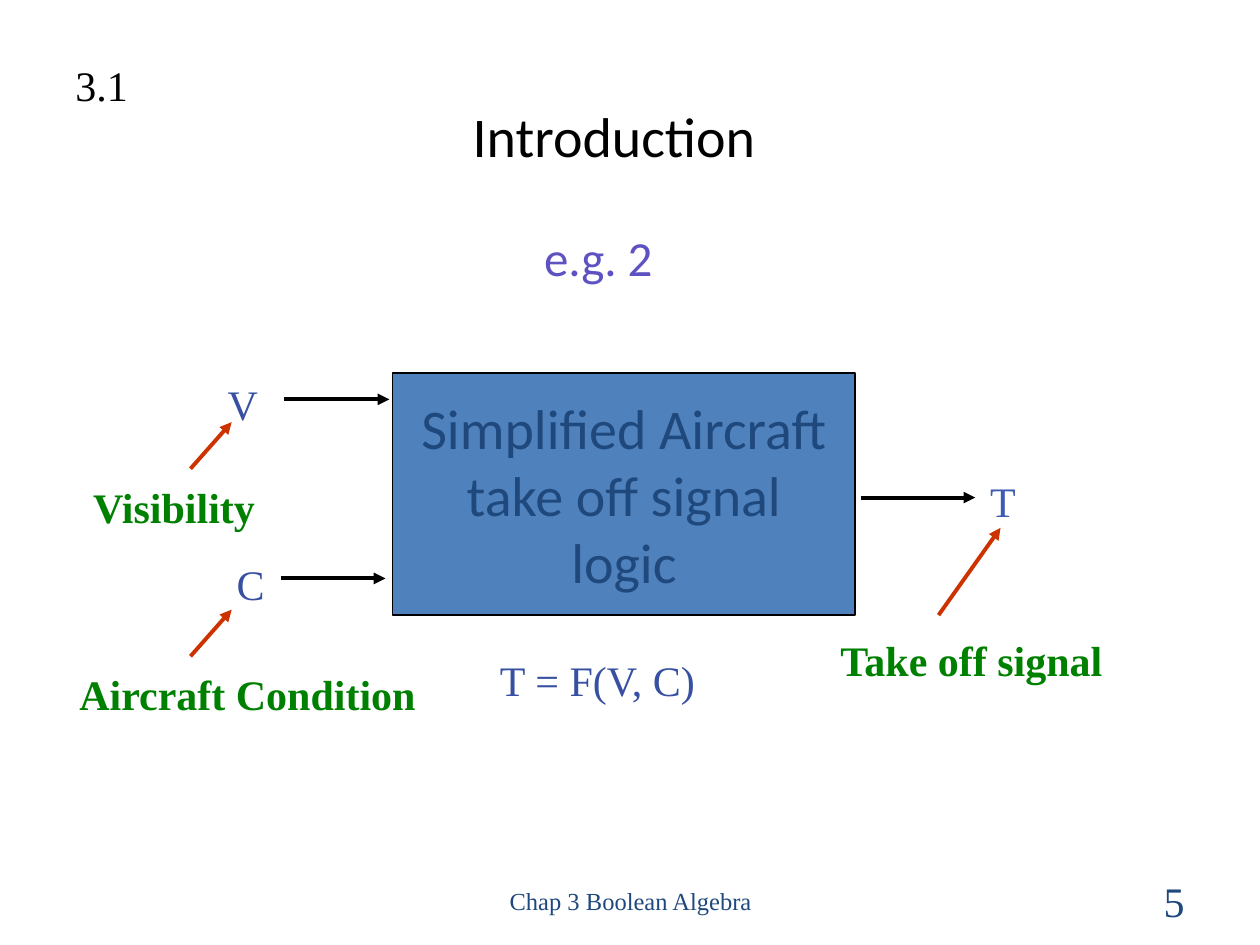
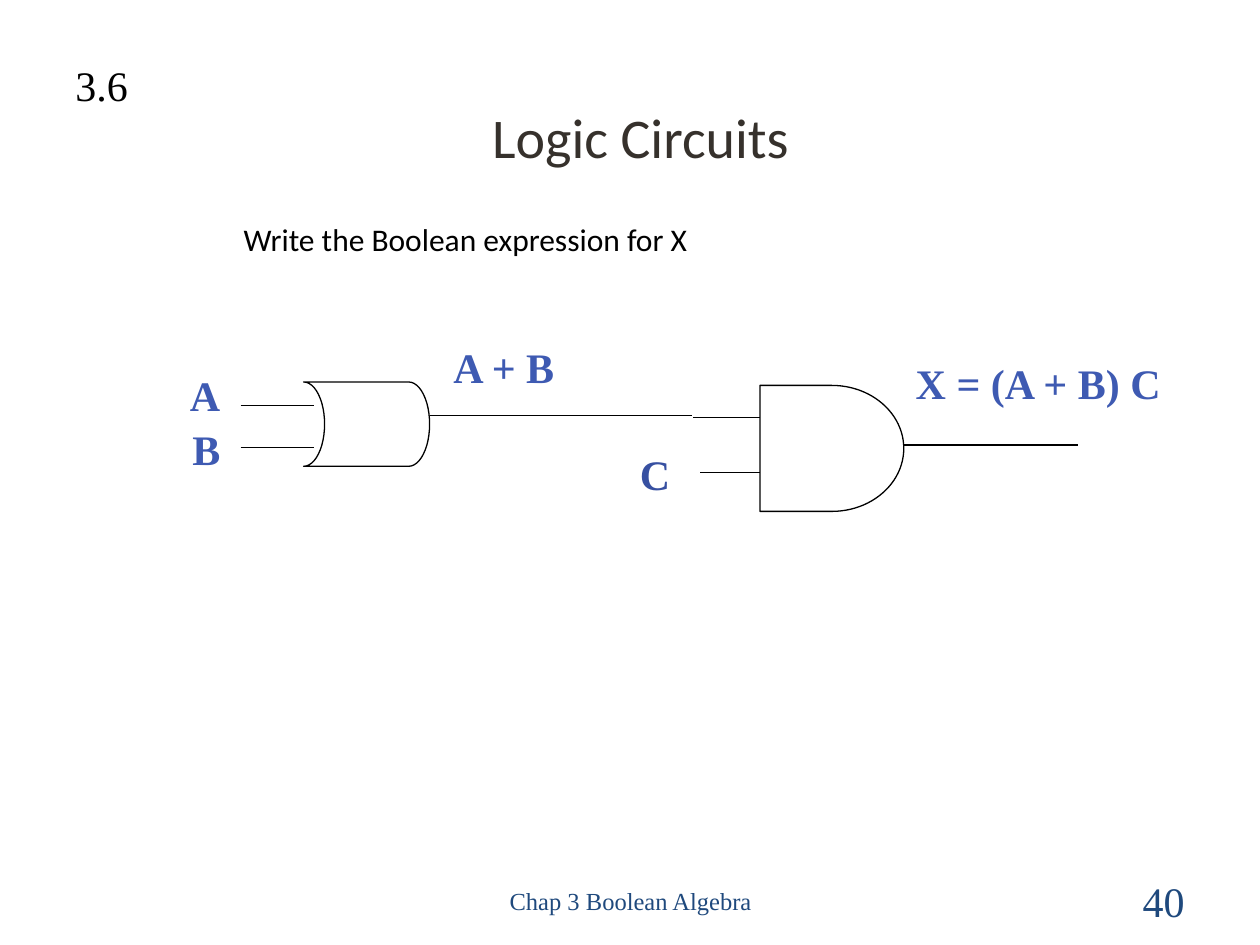
from lxml import etree
from pptx import Presentation
from pptx.dml.color import RGBColor
from pptx.enum import shapes, text
from pptx.oxml.ns import qn
from pptx.util import Cm, Pt

SERIF, SANS = "Times New Roman", "Calibri"
BLACK, NAVY, GREEN, RED = "000000", "1F497D", "008000", "CC3300"
INDIGO, BLUE, PURPLE, BOX_BLUE = "3750A1", "3E5AB2", "5E51C1", "4F81BD"
LEFT, CENTER, RIGHT = text.PP_ALIGN.LEFT, text.PP_ALIGN.CENTER, text.PP_ALIGN.RIGHT
TITLE_HEIGHT, LABEL_HEIGHT = 1.7, 1.27

# All positions and lengths are in centimetres.
FOOTER = "Chap 3 Boolean Algebra"
INTRODUCTION = dict(section="3.1", title="Introduction", number="5",
                    title_at=(6.88, 1.88, 11), title_color=BLACK)
CIRCUITS = dict(section="3.6", title="Logic Circuits", number="40",
                title_at=(8.33, 1.9, 9.17), title_color="36312C")

LOGIC_BOX = ["Simplified Aircraft", "take off signal", "logic"]
LOGIC_BOX_AT = (7.92, 7.52, 9.32, 4.88)
# Signal, left, top, colour, line spacing
SIGNALS = [("V", 4.34, 7.67, INDIGO, 0.85),
           ("C", 4.52, 11.3, INDIGO, 0.85),
           ("T", 19.71, 9.47, BLUE, 1)]
# Meaning, left, top, width
MEANINGS = [("Visibility", 1.63, 9.58, 3.9),
            ("Aircraft Condition", 1.35, 13.36, 7.45),
            ("Take off signal", 16.69, 12.67, 6)]
# Start x, start y, end x, end y
SIGNAL_ARROWS = [(5.72, 8.05, 7.85, 8.05),
                 (5.66, 11.66, 7.77, 11.66),
                 (17.35, 10.03, 19.66, 10.03)]
MEANING_ARROWS = [(3.84, 9.45, 4.67, 8.51),
                  (3.84, 13.23, 4.67, 12.29),
                  (18.92, 12.4, 20.17, 10.64)]

GATES = [(shapes.MSO_SHAPE.FLOWCHART_STORED_DATA, (6.12, 7.7, 2.54, 1.7), 180),
         (shapes.MSO_SHAPE.FLOWCHART_DELAY, (15.32, 7.77, 2.9, 2.54), 0)]
# Start x, end x, y
WIRES = [(4.85, 6.32, 8.18), (4.85, 6.32, 9.02), (8.66, 13.94, 8.38),
         (13.97, 15.32, 8.41), (14.12, 15.32, 9.53), (18.21, 21.74, 8.97)]
# Wire label, left, top, width, colour
WIRE_LABELS = [("A", 3.58, 7.32, 1.2, BLUE),
               ("B", 3.63, 8.41, 1.2, BLUE),
               ("A + B", 8.89, 6.76, 2.8, BLUE),
               ("C", 12.65, 8.92, 1.2, INDIGO),
               ("X = (A + B) C", 18.21, 7.09, 5.7, BLUE)]


def rgb(color):
    return RGBColor.from_string(color)


def cm(values):
    return [Cm(value) for value in values]


def write(frame, lines, size, color, font=SERIF, bold=False, align=LEFT, spacing=1):
    for index, line in enumerate(lines):
        paragraph = frame.add_paragraph() if index else frame.paragraphs[0]
        paragraph.alignment = align
        paragraph.line_spacing = spacing
        run = paragraph.add_run()
        run.text = line
        run.font.name, run.font.size = font, Pt(size)
        run.font.bold = bold
        run.font.color.rgb = rgb(color)


def add_label(slide, words, left, top, width, color, height=LABEL_HEIGHT,
              size=24, middle=False, **style):
    frame = slide.shapes.add_textbox(*cm((left, top, width, height))).text_frame
    frame.word_wrap = True
    if middle:
        frame.vertical_anchor = text.MSO_ANCHOR.MIDDLE
    write(frame, [words], size, color, **style)


def add_line(slide, start_x, start_y, end_x, end_y, color=BLACK, width=0.75, arrow=False):
    line = slide.shapes.add_connector(shapes.MSO_CONNECTOR.STRAIGHT,
                                      *cm((start_x, start_y, end_x, end_y)))
    line.line.color.rgb = rgb(color)
    line.line.width = Pt(width)
    if arrow:
        etree.SubElement(line.line._get_or_add_ln(), qn("a:tailEnd"), type="triangle")
    etree.SubElement(line._element.spPr, qn("a:effectLst"))


def add_outlined(slide, preset, place, fill=None):
    shape = slide.shapes.add_shape(preset, *cm(place))
    shape.shadow.inherit = False
    if fill:
        shape.fill.solid()
        shape.fill.fore_color.rgb = rgb(fill)
    else:
        shape.fill.background()
    shape.line.color.rgb = rgb(BLACK)
    shape.line.width = Pt(0.75)
    return shape


def add_slide(deck, section, title, number, title_at, title_color):
    """Add a slide with its section, title, footer and page number."""
    slide = deck.slides.add_slide(deck.slide_layouts.get_by_name("Title Only"))
    heading = slide.shapes.title
    heading.left, heading.top, heading.width, heading.height = cm((*title_at, TITLE_HEIGHT))
    heading.text_frame.vertical_anchor = text.MSO_ANCHOR.MIDDLE
    write(heading.text_frame, [title], 32, title_color, SANS, align=CENTER)
    add_label(slide, section, 1.27, 1.07, 1.7, BLACK)
    add_label(slide, FOOTER, 8.69, 17.65, 8.05, NAVY, 1.02, 14, True, align=CENTER)
    add_label(slide, number, 18.21, 17.65, 5.92, NAVY, 1.02, 24, True, align=RIGHT)
    return slide


def build_introduction(deck):
    slide = add_slide(deck, **INTRODUCTION)
    add_label(slide, "e.g. 2", 10.72, 3.86, 3.43, PURPLE, 2.13, 28, font=SANS, spacing=1.5)
    logic = add_outlined(slide, shapes.MSO_SHAPE.RECTANGLE, LOGIC_BOX_AT, BOX_BLUE)
    logic.text_frame.vertical_anchor = text.MSO_ANCHOR.MIDDLE
    write(logic.text_frame, LOGIC_BOX, 32, NAVY, SANS, align=CENTER)
    for signal, left, top, color, spacing in SIGNALS:
        add_label(slide, signal, left, top, 1.2, color, spacing=spacing)
    for meaning, left, top, width in MEANINGS:
        add_label(slide, meaning, left, top, width, GREEN, bold=True)
    for arrows, color in ((SIGNAL_ARROWS, BLACK), (MEANING_ARROWS, RED)):
        for ends in arrows:
            add_line(slide, *ends, color, 2.25, arrow=True)
    add_label(slide, "T = F(V, C)", 9.83, 13.06, 5, INDIGO)


def build_circuits(deck):
    slide = add_slide(deck, **CIRCUITS)
    add_label(slide, "Write the Boolean expression for X", 2.77, 4.32, 13.23, BLACK,
              size=18, font=SANS, align=CENTER)
    for preset, place, rotation in GATES:
        add_outlined(slide, preset, place).rotation = rotation
    for start_x, end_x, y in WIRES:
        add_line(slide, start_x, y, end_x, y)
    for label in WIRE_LABELS:
        add_label(slide, *label, bold=True)


def main():
    deck = Presentation()
    deck.slide_width, deck.slide_height = Cm(25.4), Cm(19.05)
    build_introduction(deck)
    build_circuits(deck)
    deck.save("out.pptx")


if __name__ == "__main__":
    main()
